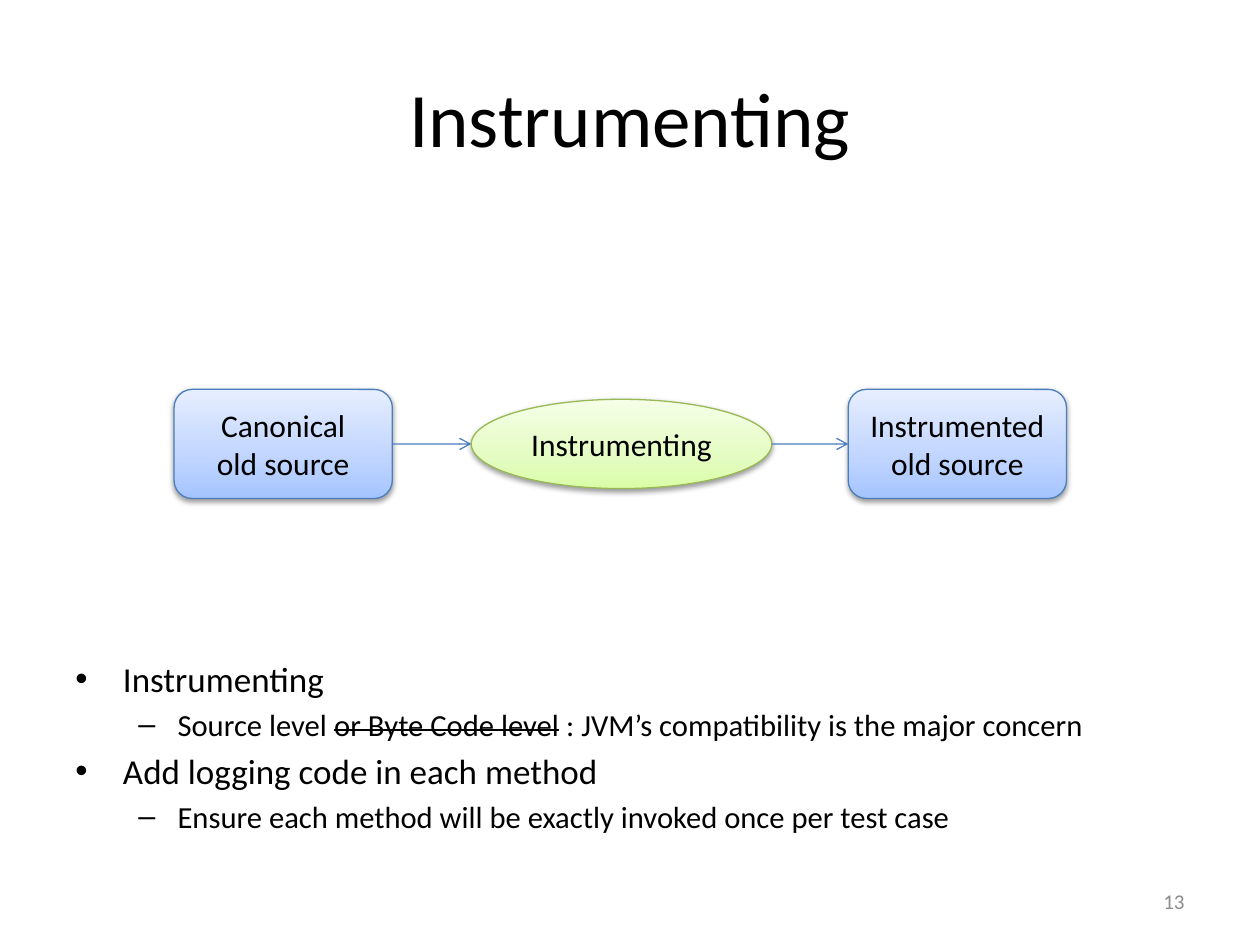
"""Build the Instrumenting slide: a three-step flow above a bulleted explanation."""
import copy
from dataclasses import dataclass

import lxml.etree
import pptx
import pptx.dml.color
import pptx.enum.shapes
import pptx.enum.text
import pptx.oxml.ns
import pptx.util

Cm = pptx.util.Cm
Pt = pptx.util.Pt
qn = pptx.oxml.ns.qn
SHAPE = pptx.enum.shapes.MSO_SHAPE
ALIGN = pptx.enum.text.PP_ALIGN
ANCHOR = pptx.enum.text.MSO_ANCHOR

FONT = "Calibri"
COLORS = {
    "text": "000000",
    "number": "8C8C8C",
    "blue_line": "4B7EBC",
    "green_line": "98B955",
}
GRADIENTS = {
    "blue": ("A4C4FF", "BFD4FF", "E6EEFF"),
    "green": ("DAFDA7", "E4FCC2", "F5FFE7"),
}
STOPS = (0, 0.35, 1)
FLOW_MIDDLE = 8.95


@dataclass
class Step:
    label: str
    kind: int
    left: float
    width: float
    height: float
    hue: str


@dataclass
class Level:
    bullet: str
    margin: float
    hanging: float
    size: float
    space_before: float


@dataclass
class Piece:
    text: str
    struck: bool = False


@dataclass
class Point:
    level: int
    pieces: list[Piece]


STEPS = [
    Step("Canonical\nold source", SHAPE.ROUNDED_RECTANGLE, 3.51, 4.4, 2.2, "blue"),
    Step("Instrumenting", SHAPE.OVAL, 9.5, 6.06, 1.8, "green"),
    Step("Instrumented\nold source", SHAPE.ROUNDED_RECTANGLE, 17.1, 4.4, 2.2, "blue"),
]
LEVELS = [Level("•", 0.96, 0.96, 20, 4), Level("–", 2.06, 0.79, 17.5, 3.5)]
POINTS = [
    Point(0, [Piece("Instrumenting")]),
    Point(1, [
        Piece("Source level "),
        Piece("or Byte Code level", struck=True),
        Piece(" : JVM’s compatibility is the major concern"),
    ]),
    Point(0, [Piece("Add logging code in each method")]),
    Point(1, [Piece("Ensure each method will be exactly invoked once per test case")]),
]


def rgb(value: str):
    return pptx.dml.color.RGBColor.from_string(value)


def format_run(run, size: float, color: str = "text") -> None:
    run.font.name = FONT
    run.font.size = Pt(size)
    run.font.color.rgb = rgb(COLORS[color])


def set_label(shape, text: str, size: float, align, color: str = "text") -> None:
    frame = shape.text_frame
    frame.text = text
    frame.word_wrap = True
    frame.vertical_anchor = ANCHOR.MIDDLE
    for paragraph in frame.paragraphs:
        paragraph.alignment = align
        for run in paragraph.runs:
            format_run(run, size, color)


def add_text_box(slide, left: float, top: float, width: float, height: float):
    return slide.shapes.add_textbox(Cm(left), Cm(top), Cm(width), Cm(height))


def fill_gradient(shape, hue: str) -> None:
    shape.fill.gradient()
    shape.fill.gradient_angle = 90
    stop_list = shape.element.spPr.find(".//" + qn("a:gsLst"))
    stop_list.append(copy.deepcopy(stop_list[-1]))
    for stop, position, color in zip(shape.fill.gradient_stops, STOPS, GRADIENTS[hue]):
        stop.position = position
        stop.color.rgb = rgb(color)


def add_shadow(shape) -> None:
    shape.shadow.inherit = False
    effects = shape.element.spPr.find(qn("a:effectLst"))
    shadow = lxml.etree.SubElement(
        effects, qn("a:outerShdw"),
        blurRad=str(Pt(3.1)), dist=str(Pt(1.6)), dir="5400000", rotWithShape="0",
    )
    color = lxml.etree.SubElement(shadow, qn("a:srgbClr"), val="000000")
    lxml.etree.SubElement(color, qn("a:alpha"), val="38000")


def add_step(slide, step: Step):
    shape = slide.shapes.add_shape(
        step.kind, Cm(step.left), Cm(FLOW_MIDDLE - step.height / 2),
        Cm(step.width), Cm(step.height),
    )
    fill_gradient(shape, step.hue)
    shape.line.color.rgb = rgb(COLORS[step.hue + "_line"])
    shape.line.width = Pt(0.75)
    add_shadow(shape)
    set_label(shape, step.label, 18, ALIGN.CENTER)
    return shape


def add_arrow(slide, source, target):
    middle = Cm(FLOW_MIDDLE)
    arrow = slide.shapes.add_connector(
        pptx.enum.shapes.MSO_CONNECTOR.STRAIGHT,
        source.left + source.width, middle, target.left, middle,
    )
    arrow.line.color.rgb = rgb(COLORS["blue_line"])
    arrow.line.width = Pt(0.75)
    lxml.etree.SubElement(arrow.line._get_or_add_ln(), qn("a:tailEnd"), type="arrow")
    lxml.etree.SubElement(arrow._element.spPr, qn("a:effectLst"))
    return arrow


def add_point(paragraph, point: Point, is_first: bool) -> None:
    level = LEVELS[point.level]
    paragraph.level = point.level
    properties = paragraph._p.get_or_add_pPr()
    properties.set("marL", str(Cm(level.margin)))
    properties.set("indent", str(-Cm(level.hanging)))
    lxml.etree.SubElement(properties, qn("a:buFont"), typeface="Arial")
    lxml.etree.SubElement(properties, qn("a:buChar"), char=level.bullet)
    paragraph.space_before = Pt(0 if is_first else level.space_before)
    for piece in point.pieces:
        run = paragraph.add_run()
        run.text = piece.text
        format_run(run, level.size)
        if piece.struck:
            run.font._element.set("strike", "sngStrike")


def main() -> None:
    presentation = pptx.Presentation()
    presentation.slide_width = Cm(25.4)
    presentation.slide_height = Cm(19.05)
    slide = presentation.slides.add_slide(presentation.slide_layouts[6])

    title = add_text_box(slide, 1.27, 0.76, 22.86, 3.18)
    set_label(title, "Instrumenting", 44, ALIGN.CENTER)

    old_source, instrumenting, instrumented = [add_step(slide, step) for step in STEPS]
    add_arrow(slide, old_source, instrumenting).begin_connect(old_source, 3)
    add_arrow(slide, instrumenting, instrumented).end_connect(instrumented, 1)

    explanation = add_text_box(slide, 1.27, 13.13, 22.86, 3.89).text_frame
    explanation.word_wrap = True
    for index, point in enumerate(POINTS):
        paragraph = explanation.add_paragraph() if index else explanation.paragraphs[0]
        add_point(paragraph, point, index == 0)

    slide_number = add_text_box(slide, 18.21, 17.65, 5.92, 1.02)
    set_label(slide_number, "13", 12, ALIGN.RIGHT, "number")

    presentation.save("out.pptx")


if __name__ == "__main__":
    main()
